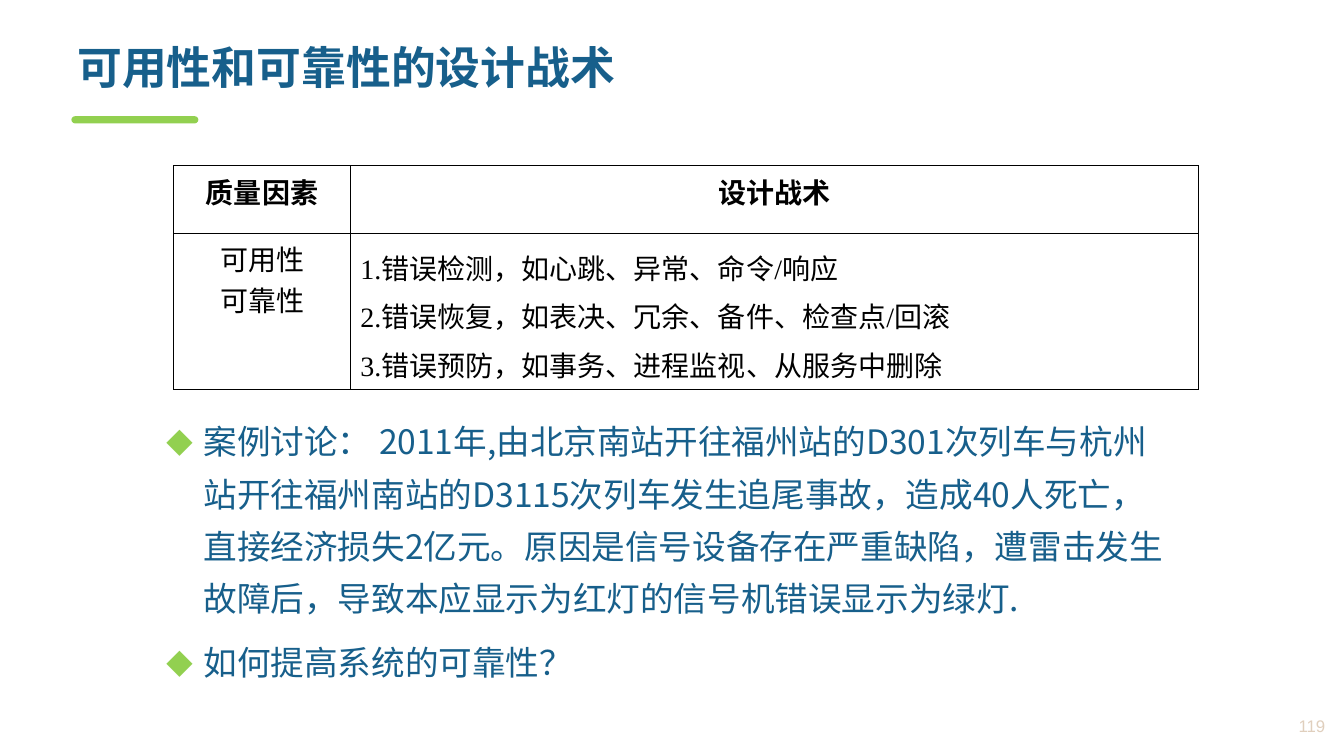
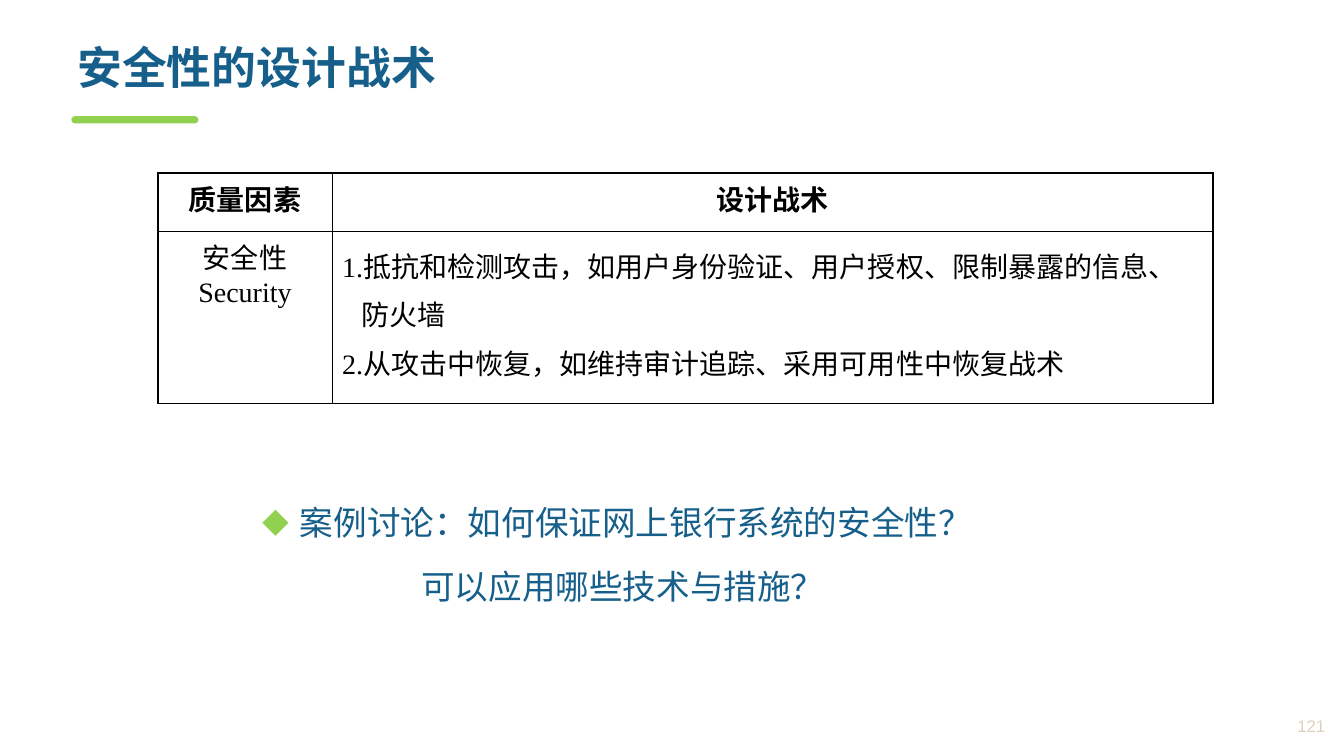
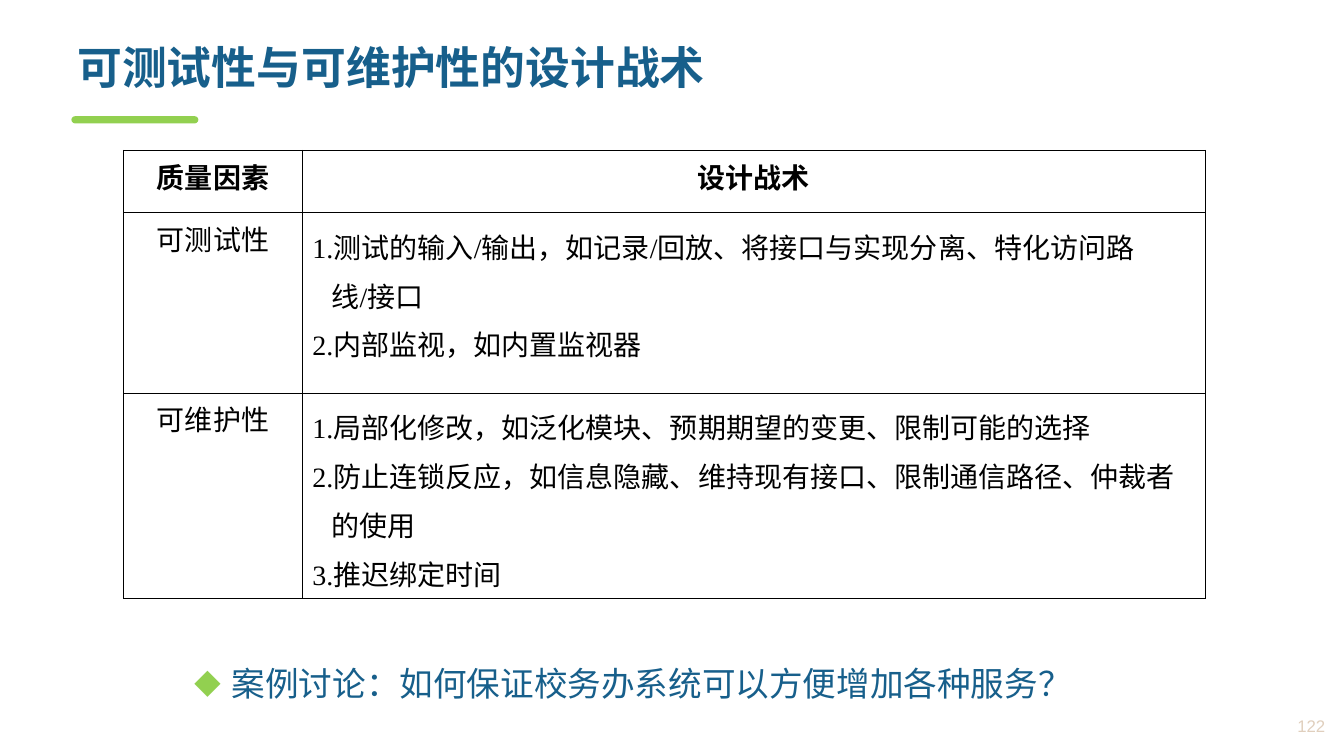
from lxml.etree import SubElement
from pptx import Presentation
from pptx.dml.color import RGBColor
from pptx.enum.shapes import MSO_SHAPE
from pptx.enum.text import MSO_ANCHOR, PP_ALIGN
from pptx.oxml import parse_xml
from pptx.oxml.ns import nsdecls, qn
from pptx.util import Cm, Pt

COLORS = {
    "title": "175F8B",
    "accent": "92D050",
    "table": "000000",
    "number": "E0CFBD",
}
CHINESE_FONT = "Noto Sans CJK SC"
TABLE_FONT = "Times New Roman"
NUMBER_FONT = "Arial"

HEADER = ("质量因素", "设计战术")
BULLET = "◆"
BULLET_INDENT = 0.94
LIST_INDENT = 0.48

SLIDES = [
    {
        "title": "可用性和可靠性的设计战术",
        "number": "119",
        "table_at": (4.38, 4.18),
        "columns": (4.45, 21.37),
        "rows": (1.7, 3.94),
        "tactics": [
            (
                ["可用性", "可靠性"],
                [
                    "1.错误检测，如心跳、异常、命令/响应",
                    "2.错误恢复，如表决、冗余、备件、检查点/回滚",
                    "3.错误预防，如事务、进程监视、从服务中删除",
                ],
            ),
        ],
        "case_box": (3.89, 10.16, 25.83, 8.89),
        "case": [
            (
                "案例讨论： 2011年,由北京南站开往福州站的D301次列车与杭州站开往福州南站的"
                "D3115次列车发生追尾事故，造成40人死亡，直接经济损失2亿元。原因是信号设备"
                "存在严重缺陷，遭雷击发生故障后，导致本应显示为红灯的信号机错误显示为绿灯.",
                {"bullet": BULLET, "line_spacing": 1.3},
            ),
            ("如何提高系统的可靠性？", {"bullet": BULLET}),
        ],
    },
    {
        "title": "安全性的设计战术",
        "number": "121",
        "table_at": (3.98, 4.36),
        "columns": (4.39, 22.2),
        "rows": (1.47, 4.34),
        "tactics": [
            (
                ["安全性", "Security"],
                [
                    "1.抵抗和检测攻击，如用户身份验证、用户授权、限制暴露的信息、防火墙",
                    "2.从攻击中恢复，如维持审计追踪、采用可用性中恢复战术",
                ],
            ),
        ],
        "case_box": (6.32, 11.99, 21.11, 6.02),
        "case": [
            ("案例讨论：如何保证网上银行系统的安全性？", {"bullet": BULLET}),
            ("可以应用哪些技术与措施？", {"margin": 4, "hanging": 0}),
        ],
    },
    {
        "title": "可测试性与可维护性的设计战术",
        "number": "122",
        "table_at": (3.12, 3.79),
        "columns": (4.5, 22.76),
        "rows": (1.57, 4.55, 5.18),
        "tactics": [
            (
                ["可测试性"],
                [
                    "1.测试的输入/输出，如记录/回放、将接口与实现分离、特化访问路线/接口",
                    "2.内部监视，如内置监视器",
                ],
            ),
            (
                ["可维护性"],
                [
                    "1.局部化修改，如泛化模块、预期期望的变更、限制可能的选择",
                    "2.防止连锁反应，如信息隐藏、维持现有接口、限制通信路径、仲裁者的使用",
                    "3.推迟绑定时间",
                ],
            ),
        ],
        "case_box": (4.6, 16.05, 27.43, 2.5),
        "case": [
            ("案例讨论：如何保证校务办系统可以方便增加各种服务？", {"bullet": BULLET}),
        ],
    },
]


def write_paragraph(frame, text, *, size, color, font=CHINESE_FONT, bold=False,
                    align=PP_ALIGN.LEFT, line_spacing=1.0, space_before=0,
                    margin=0, hanging=0, bullet=None):
    is_first = not frame.paragraphs[0].runs
    paragraph = frame.paragraphs[0] if is_first else frame.add_paragraph()
    paragraph.alignment = align
    paragraph.line_spacing = line_spacing
    paragraph.space_before = Pt(0 if is_first else space_before)
    properties = paragraph._p.get_or_add_pPr()
    properties.set("marL", str(Cm(margin)))
    properties.set("indent", str(-Cm(hanging)))
    if bullet:
        bullet_color = SubElement(properties, qn("a:buClr"))
        SubElement(bullet_color, qn("a:srgbClr")).set("val", COLORS["accent"])
        SubElement(properties, qn("a:buSzPct")).set("val", "80000")
        SubElement(properties, qn("a:buFont")).set("typeface", CHINESE_FONT)
        SubElement(properties, qn("a:buChar")).set("char", bullet)
    run = paragraph.add_run()
    run.text = text
    run.font.size = Pt(size)
    run.font.bold = bold
    run.font.color.rgb = RGBColor.from_string(COLORS[color])
    run.font.name = font
    SubElement(run._r.get_or_add_rPr(), qn("a:ea")).set("typeface", CHINESE_FONT)


def add_text_frame(slide, box):
    frame = slide.shapes.add_textbox(*map(Cm, box)).text_frame
    frame.word_wrap = True
    return frame


def add_slide_frame(slide, title, number):
    title_frame = add_text_frame(slide, (1.7, 1.04, 31.17, 1.9))
    write_paragraph(title_frame, title, size=32, color="title", bold=True, line_spacing=0.9)

    bar = slide.shapes.add_shape(MSO_SHAPE.ROUND_2_SAME_RECTANGLE,
                                 Cm(1.8), Cm(2.93), Cm(3.2), Cm(0.18))
    bar.adjustments[0] = bar.adjustments[1] = 0.5
    bar.shadow.inherit = False
    bar.fill.solid()
    bar.fill.fore_color.rgb = RGBColor.from_string(COLORS["accent"])
    bar.line.fill.background()

    number_frame = add_text_frame(slide, (30.78, 17.81, 2.87, 0.97))
    number_frame.vertical_anchor = MSO_ANCHOR.MIDDLE
    write_paragraph(number_frame, number, size=12, color="number", font=NUMBER_FONT,
                    align=PP_ALIGN.RIGHT)


def set_borders(cell):
    properties = cell._tc.get_or_add_tcPr()
    for position, side in enumerate(("lnL", "lnR", "lnT", "lnB")):
        properties.insert(position, parse_xml(
            f'<a:{side} {nsdecls("a")} w="{Pt(1)}"><a:solidFill>'
            f'<a:srgbClr val="{COLORS["table"]}"/></a:solidFill></a:{side}>'))


def add_tactics_table(slide, position, columns, rows, tactics):
    table = slide.shapes.add_table(
        len(rows), len(columns), *map(Cm, position), Cm(sum(columns)), Cm(sum(rows))).table
    table.first_row = table.horz_banding = False
    for column, width in zip(table.columns, columns):
        column.width = Cm(width)
    for row, height in zip(table.rows, rows):
        row.height = Cm(height)

    content = [[[text] for text in HEADER], *tactics]
    for row_index, row in enumerate(content):
        for column_index, lines in enumerate(row):
            cell = table.cell(row_index, column_index)
            cell.fill.background()
            set_borders(cell)
            if row_index and column_index:
                layout = {"line_spacing": 1.2, "margin": LIST_INDENT, "hanging": LIST_INDENT}
            else:
                layout = {"align": PP_ALIGN.CENTER}
            for line in lines:
                write_paragraph(cell.text_frame, line, size=20, color="table",
                                font=TABLE_FONT, bold=row_index == 0, **layout)


def add_case(slide, box, paragraphs):
    frame = add_text_frame(slide, box)
    frame.margin_left = frame.margin_right = Cm(0.3)
    frame.margin_top = frame.margin_bottom = Cm(0.15)
    defaults = {"size": 24, "color": "title", "line_spacing": 1.5, "space_before": 2.4,
                "margin": BULLET_INDENT, "hanging": BULLET_INDENT}
    for text, layout in paragraphs:
        write_paragraph(frame, text, **{**defaults, **layout})


def main():
    presentation = Presentation()
    presentation.slide_width = Cm(33.87)
    presentation.slide_height = Cm(19.05)
    for content in SLIDES:
        slide = presentation.slides.add_slide(presentation.slide_layouts[6])
        add_slide_frame(slide, content["title"], content["number"])
        add_tactics_table(slide, content["table_at"], content["columns"],
                          content["rows"], content["tactics"])
        add_case(slide, content["case_box"], content["case"])
    presentation.save("out.pptx")


if __name__ == "__main__":
    main()
